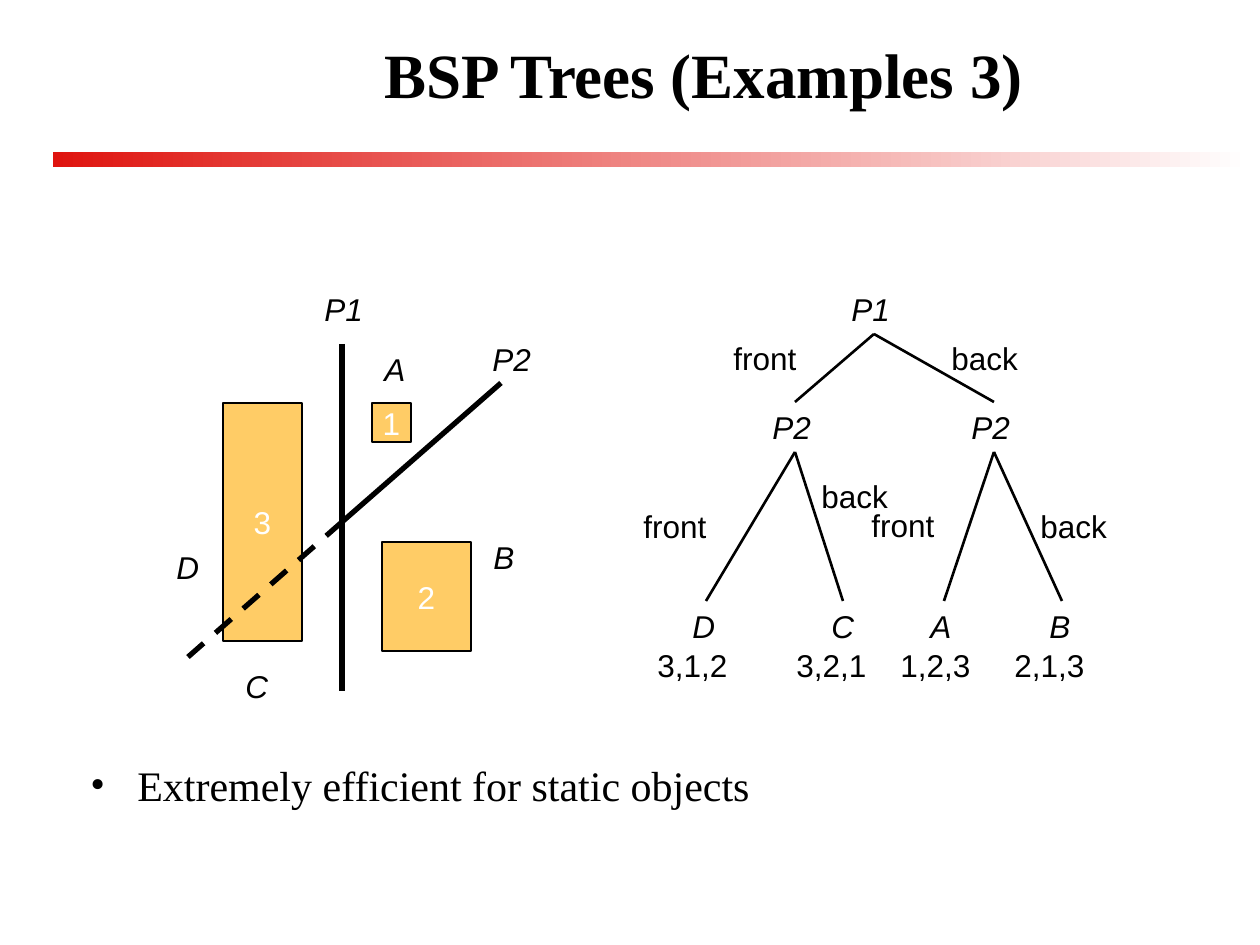
from dataclasses import dataclass

from lxml import etree
from pptx import Presentation
from pptx.dml.color import RGBColor
from pptx.enum import dml, shapes, text
from pptx.oxml import ns
from pptx import util as u

PX = u.Inches(1) / 126


@dataclass(frozen=True)
class Theme:
    ink: RGBColor = RGBColor(0, 0, 0)
    paper: RGBColor = RGBColor(255, 255, 255)
    accent: RGBColor = RGBColor(0xDF, 0x14, 0x0F)
    block: RGBColor = RGBColor(0xFF, 0xCC, 0x66)
    serif: str = "Times New Roman"
    sans: str = "Arial"
    title: int = 36
    body: int = 24
    label: int = 18


theme = Theme()
TITLE = {"name": theme.serif, "size": u.Pt(theme.title), "bold": True}
BODY = {"name": theme.serif, "size": u.Pt(theme.body)}
PLAIN = {"name": theme.sans, "size": u.Pt(theme.label)}
ITALIC = {**PLAIN, "italic": True}


def write(shape, words, style, color=theme.ink, align=text.PP_ALIGN.LEFT, wrap=False):
    """Fill a shape with one formatted paragraph and return the paragraph."""
    shape.text_frame.word_wrap = wrap
    paragraph = shape.text_frame.paragraphs[0]
    paragraph.alignment = align
    run = paragraph.add_run()
    run.text = words
    for name, value in style.items():
        setattr(run.font, name, value)
    run.font.color.rgb = color
    return paragraph


def draw_line(group, ends, weight, dash=None):
    """Draw a straight black line between two px points."""
    line = group.shapes.add_connector(
        shapes.MSO_CONNECTOR.STRAIGHT, *(round(n * PX) for n in ends))
    line.line.color.rgb = theme.ink
    line.line.width = u.Pt(weight)
    if dash:
        line.line.dash_style = dash
    etree.SubElement(line._element.spPr, ns.qn("a:effectLst"))


deck = Presentation()
deck.slide_width, deck.slide_height = u.Inches(10), u.Inches(7.5)
slide = deck.slides.add_slide(deck.slide_layouts[6])

# Fading rule under the title: two overlapping bars
for top in (152, 157):
    bar = slide.shapes.add_shape(
        shapes.MSO_SHAPE.RECTANGLE, *(round(n * PX) for n in (53, top, 1197, 10)))
    bar.shadow.inherit = False
    bar.line.fill.background()
    bar.fill.gradient()
    bar.fill.gradient_angle = 0
    for stop, color in zip(bar.fill.gradient_stops, (theme.accent, theme.paper)):
        stop.color.rgb = color

# Title
title = slide.shapes.add_textbox(*(round(n * PX) for n in (147, 21, 1113, 105)))
title.text_frame.vertical_anchor = text.MSO_ANCHOR.MIDDLE
write(title, "BSP Trees (Examples 3)", TITLE, align=text.PP_ALIGN.CENTER, wrap=True)

plan = slide.shapes.add_group_shape()
tree = slide.shapes.add_group_shape()

# Plan: numbered objects
for number, box in (("1", (372, 403, 39, 39)),
                    ("2", (382, 542, 89, 109)),
                    ("3", (223, 403, 79, 238))):
    block = plan.shapes.add_shape(
        shapes.MSO_SHAPE.RECTANGLE, *(round(n * PX) for n in box))
    block.shadow.inherit = False
    block.fill.solid()
    block.fill.fore_color.rgb = theme.block
    block.line.color.rgb = theme.ink
    block.line.width = u.Pt(0.75)
    block.text_frame.vertical_anchor = text.MSO_ANCHOR.MIDDLE
    write(block, number, PLAIN, theme.paper, text.PP_ALIGN.CENTER)

# Plan: partition planes, the second one dashed beyond the first
crossing = (342, 522)
draw_line(plan, (342, 344, 342, 691), 3)
draw_line(plan, (501, 383, *crossing), 3)
draw_line(plan, (*crossing, 188, 657), 3, dml.MSO_LINE.DASH)

# Tree: branches from each plane to its children
for parent, children in (((874, 334), ((795, 402), (994, 402))),
                         ((795, 452), ((706, 601), (843, 601))),
                         ((994, 452), ((944, 601), (1062, 601)))):
    for child in children:
        draw_line(tree, (*parent, *child), 1.5)

# Labels: words, style, box width and the left-top corners where they stand
for group, words, style, width, corners in (
        (plan, "P1", ITALIC, 71, [(312, 284)]),
        (plan, "P2", ITALIC, 71, [(480, 334)]),
        (plan, "A", ITALIC, 50, [(372, 344)]),
        (plan, "B", ITALIC, 50, [(481, 532)]),
        (plan, "C", ITALIC, 50, [(233, 661)]),
        (plan, "D", ITALIC, 50, [(164, 542)]),
        (tree, "P1", ITALIC, 71, [(839, 284)]),
        (tree, "P2", ITALIC, 71, [(760, 402), (959, 402)]),
        (tree, "D", ITALIC, 50, [(680, 601)]),
        (tree, "C", ITALIC, 50, [(819, 601)]),
        (tree, "A", ITALIC, 50, [(918, 601)]),
        (tree, "B", ITALIC, 50, [(1037, 601)]),
        (tree, "3,1,2", PLAIN, 115, [(645, 640)]),
        (tree, "3,2,1", PLAIN, 115, [(784, 640)]),
        (tree, "1,2,3", PLAIN, 115, [(888, 640)]),
        (tree, "2,1,3", PLAIN, 115, [(1002, 640)]),
        (tree, "front", PLAIN, 113, [(721, 333), (631, 501), (859, 500)]),
        (tree, "back", PLAIN, 108, [(939, 333), (809, 471), (1028, 501)])):
    for corner in corners:
        label = group.shapes.add_textbox(
            *(round(n * PX) for n in (*corner, width, 50)))
        write(label, words, style)

# Closing bullet
remark = slide.shapes.add_textbox(*(round(n * PX) for n in (78, 753, 1103, 79)))
bullet = write(remark, "Extremely efficient for static objects", BODY, wrap=True)
properties = bullet._p.get_or_add_pPr()
properties.set("marL", str(round(47 * PX)))
properties.set("indent", str(round(-47 * PX)))
etree.SubElement(properties, ns.qn("a:buFont"), typeface=theme.serif)
etree.SubElement(properties, ns.qn("a:buChar"), char="•")

deck.save("out.pptx")
